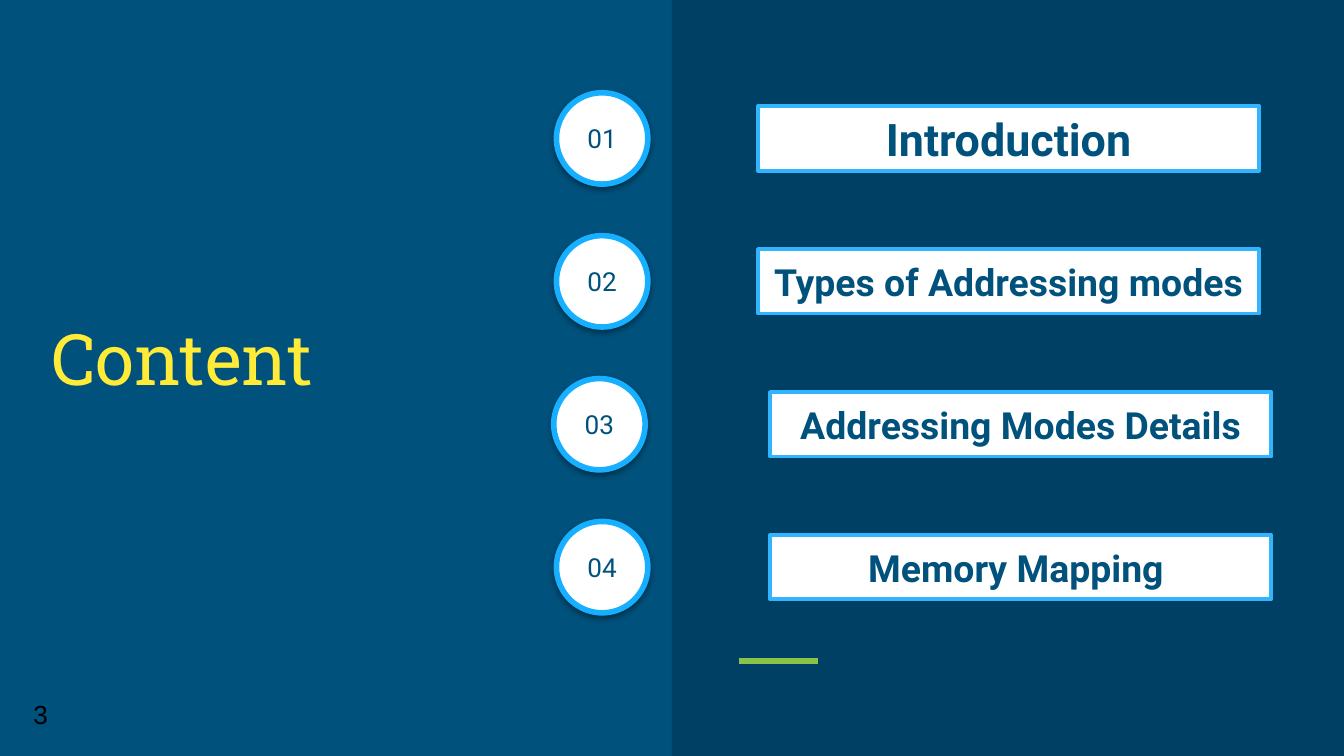
from pptx import Presentation
from pptx.dml.color import RGBColor as Rgb
from pptx.enum.shapes import MSO_CONNECTOR as Link, MSO_SHAPE as Kind
from pptx.enum.text import MSO_ANCHOR as Anchor, PP_ALIGN as Align
from pptx.oxml import parse_xml
from pptx.oxml.ns import nsdecls
from pptx.util import Inches, Pt

theme = {
    "back": Rgb.from_string("00517C"),
    "panel": Rgb.from_string("004065"),
    "accent": Rgb.from_string("8BC34A"),
    "title": Rgb.from_string("FFEB38"),
    "white": Rgb.from_string("FFFFFF"),
    "black": Rgb.from_string("000000"),
    "ring": Rgb.from_string("17AFFF"),
    "frame": Rgb.from_string("32B4FF"),
    "big": Pt(38), "head": Pt(24), "item": Pt(20), "small": Pt(14),
}


def write(shape, text, color, align=Align.CENTER, anchor=Anchor.MIDDLE, **font):
    frame = shape.text_frame
    frame.word_wrap = True
    frame.vertical_anchor = anchor
    para = frame.paragraphs[0]
    para.alignment = align
    run = para.add_run()
    run.text = text
    run.font.color.rgb = theme[color]
    for key, value in font.items():
        setattr(run.font, key, value)


def draw(kind, box, fill, line=None, width=0):
    shape = slide.shapes.add_shape(kind, *map(Inches, box))
    shape.shadow.inherit = False
    shape.fill.solid()
    shape.fill.fore_color.rgb = theme[fill]
    if line:
        shape.line.color.rgb = theme[line]
        shape.line.width = Pt(width)
    else:
        shape.line.fill.background()
    return shape


# Widescreen page, 16 by 9
page_w = 10
page_h = page_w * 9 / 16
deck = Presentation()
deck.slide_width, deck.slide_height = Inches(page_w), Inches(page_h)
slide = deck.slides.add_slide(deck.slide_layouts[6])

# Background: blue page, darker right half, green dash
slide.background.fill.solid()
slide.background.fill.fore_color.rgb = theme["back"]
draw(Kind.RECTANGLE, (page_w / 2, 0, page_w / 2, page_h), "panel")
dash = slide.shapes.add_connector(
    Link.STRAIGHT, Inches(5.5), Inches(4.92), Inches(6.09), Inches(4.92))
dash.line.color.rgb = theme["accent"]
dash.line.width = Pt(3)
dash._element.spPr.append(parse_xml(f"<a:effectLst {nsdecls('a')}/>"))

# Title and page number
title = slide.shapes.add_textbox(*map(Inches, (0.15, 2.19, 2.41, 0.93)))
write(title, "Content", "title", size=theme["big"], name="Roboto Slab")
number = slide.shapes.add_textbox(*map(Inches, (0.15, 5.15, 0.42, 0.34)))
write(number, "3", "black", Align.LEFT, Anchor.TOP, size=theme["small"], name="Arial")

# Agenda rows: numbered circle and label box, centred on the same line
shade = f"""<a:effectLst {nsdecls('a')}>
  <a:outerShdw blurRad="40000" dist="20000" dir="5400000" rotWithShape="0">
    <a:srgbClr val="000000"><a:alpha val="38000"/></a:srgbClr>
  </a:outerShdw></a:effectLst>"""
rows = [
    ("Introduction", "head", 4.14, 5.64),
    ("Types of Addressing modes", "item", 4.14, 5.64),
    ("Addressing Modes Details", "item", 4.12, 5.73),
    ("Memory Mapping ", "item", 4.14, 5.73),
]
first, last = 1.03, 4.22
step = (last - first) / (len(rows) - 1)
disc, wide, high = 0.68, 3.73, 0.48
for i, (text, size, left, edge) in enumerate(rows):
    mid = first + i * step
    ring = draw(Kind.OVAL, (left, mid - disc / 2, disc, disc), "white", "ring", 3)
    props = ring._element.spPr
    props.replace(props.find("{*}effectLst"), parse_xml(shade))
    write(ring, f"{i + 1:02}", "back", size=theme["small"], name="Roboto")
    label = draw(Kind.RECTANGLE, (edge, mid - high / 2, wide, high), "white", "frame", 2)
    write(label, text, "back", size=theme[size], name="Roboto", bold=True)

deck.save("out.pptx")
